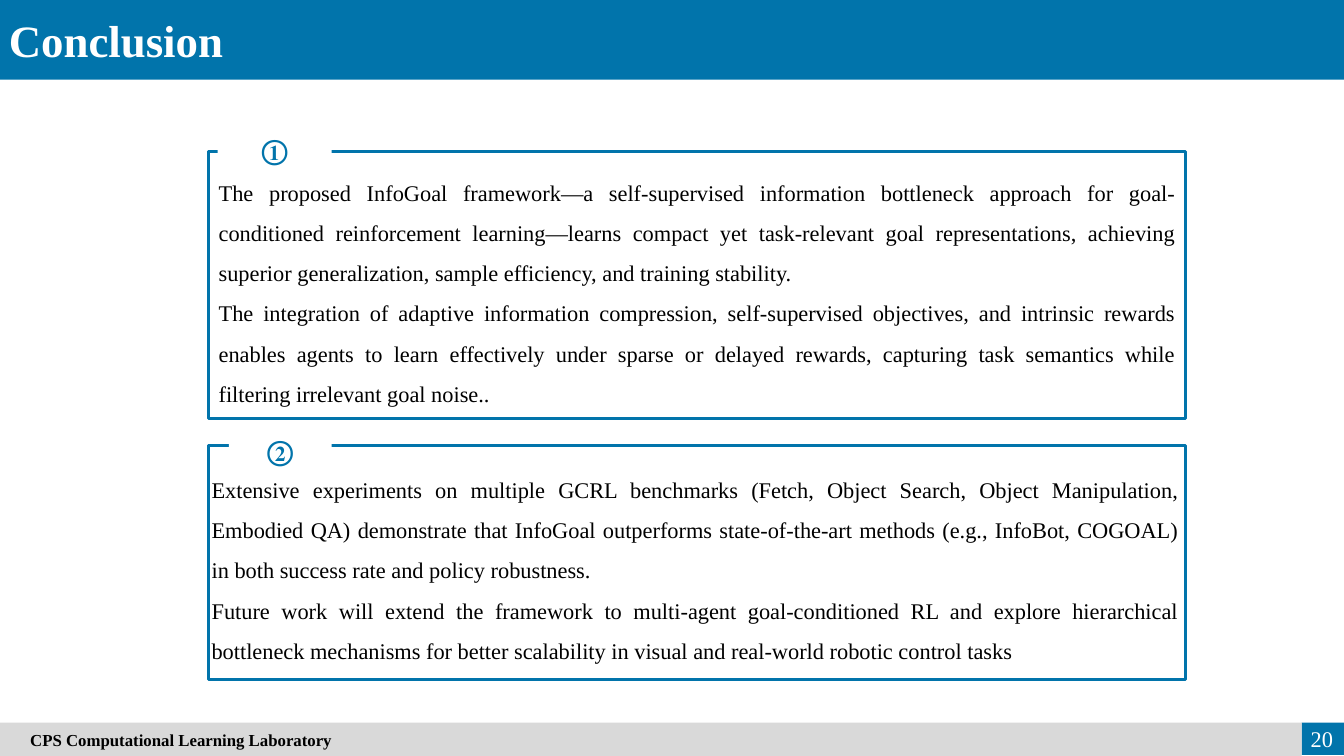
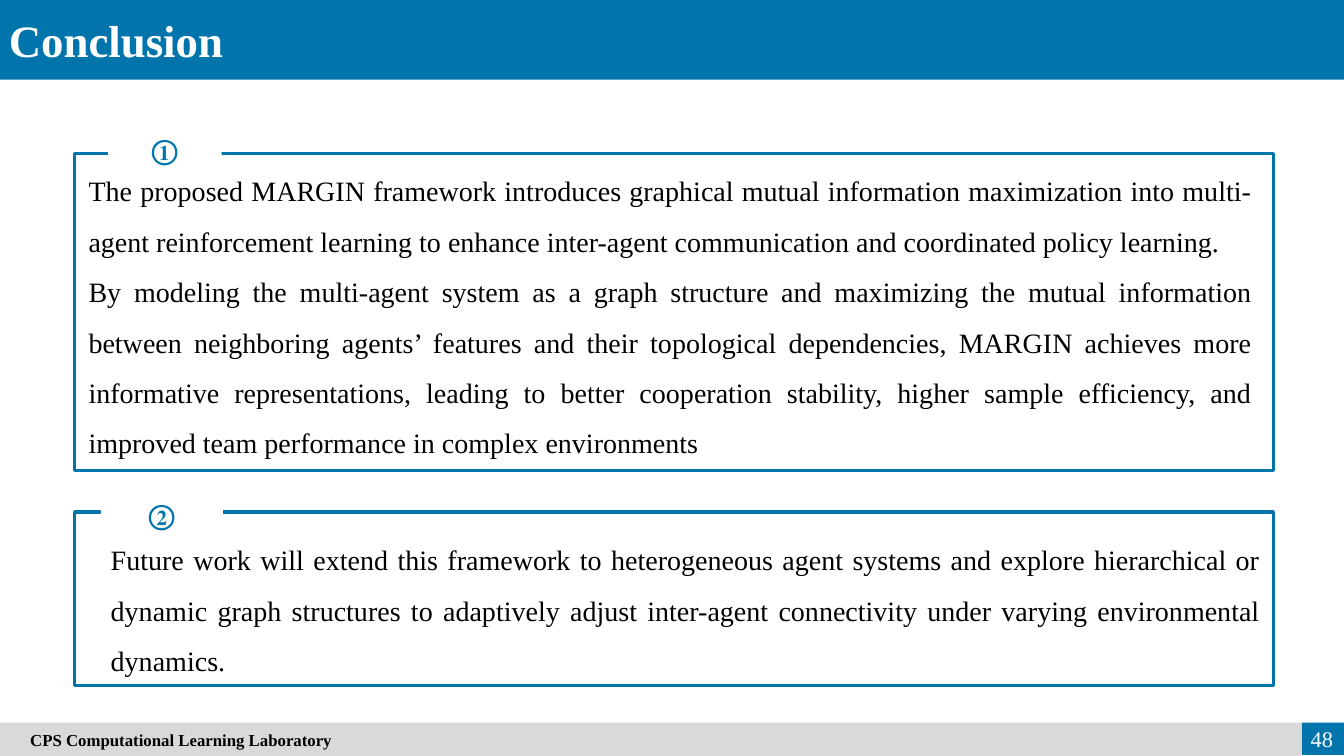
from pptx import Presentation
from pptx.dml.color import RGBColor
from pptx.enum.shapes import MSO_SHAPE
from pptx.enum.text import MSO_ANCHOR, PP_ALIGN
from pptx.util import Inches, Pt

RECTANGLE = MSO_SHAPE.RECTANGLE
TOP, MIDDLE = MSO_ANCHOR.TOP, MSO_ANCHOR.MIDDLE
LEFT, CENTER, RIGHT, JUSTIFY = PP_ALIGN.LEFT, PP_ALIGN.CENTER, PP_ALIGN.RIGHT, PP_ALIGN.JUSTIFY
FONT = "Times New Roman"
COLORS = {"blue": "0174AB", "gray": "D9D9D9", "white": "FFFFFF", "black": "000000"}
SLIDE_WIDTH, SLIDE_HEIGHT = 13.33, 7.5
FOOTER_TOP, FOOTER_WIDTH = 7.17, 12.91

CONCLUSIONS = [
    {
        "page": 20,
        "text_size": 16,
        "panels": [
            {
                "frame": (2.07, 1.5, 9.69, 2.65),
                "label": (2.16, 1.21, 1.13, 0.55),
                "text": (2.07, 1.59, 9.69, 2.4),
                "number": "①",
                "paragraphs": [
                    "The proposed InfoGoal framework—a self-supervised information bottleneck approach for goal-conditioned reinforcement learning—learns compact yet task-relevant goal representations, achieving superior generalization, sample efficiency, and training stability.",
                    "The integration of adaptive information compression, self-supervised objectives, and intrinsic rewards enables agents to learn effectively under sparse or delayed rewards, capturing task semantics while filtering irrelevant goal noise..",
                ],
            },
            {
                "frame": (2.07, 4.42, 9.69, 2.32),
                "label": (2.27, 4.19, 1.02, 0.55),
                "text": (2, 4.54, 9.79, 2.07),
                "number": "②",
                "paragraphs": [
                    "Extensive experiments on multiple GCRL benchmarks (Fetch, Object Search, Object Manipulation, Embodied QA) demonstrate that InfoGoal outperforms state-of-the-art methods (e.g., InfoBot, COGOAL) in both success rate and policy robustness.",
                    "Future work will extend the framework to multi-agent goal-conditioned RL and explore hierarchical bottleneck mechanisms for better scalability in visual and real-world robotic control tasks",
                ],
            },
        ],
    },
    {
        "page": 48,
        "text_size": 20,
        "panels": [
            {
                "frame": (0.74, 1.52, 11.89, 3.15),
                "label": (1.07, 1.21, 1.13, 0.55),
                "text": (0.78, 1.51, 11.74, 3.07),
                "number": "①",
                "paragraphs": [
                    "The proposed MARGIN framework introduces graphical mutual information maximization into multi-agent reinforcement learning to enhance inter-agent communication and coordinated policy learning.",
                    "By modeling the multi-agent system as a graph structure and maximizing the mutual information between neighboring agents’ features and their topological dependencies, MARGIN achieves more informative representations, leading to better cooperation stability, higher sample efficiency, and improved team performance in complex environments",
                ],
            },
            {
                "frame": (0.74, 5.08, 11.89, 1.72),
                "label": (1, 4.83, 1.21, 0.55),
                "text": (1, 5.17, 11.6, 1.56),
                "number": "②",
                "paragraphs": [
                    "Future work will extend this framework to heterogeneous agent systems and explore hierarchical or dynamic graph structures to adaptively adjust inter-agent connectivity under varying environmental dynamics.",
                ],
            },
        ],
    },
]


def color(name):
    return RGBColor.from_string(COLORS[name])


def add_rectangle(slide, box, fill=None, line=None):
    shape = slide.shapes.add_shape(RECTANGLE, *map(Inches, box))
    shape.shadow.inherit = False
    if fill:
        shape.fill.solid()
        shape.fill.fore_color.rgb = color(fill)
    else:
        shape.fill.background()
    if line:
        shape.line.color.rgb = color(line)
        shape.line.width = Pt(2.25)
    else:
        shape.line.fill.background()
    return shape


def write_text(shape, paragraphs, size, ink, bold=False, align=LEFT, anchor=TOP, spacing=None):
    text_frame = shape.text_frame
    text_frame.word_wrap = True
    text_frame.vertical_anchor = anchor
    text_frame.text = "\n".join(paragraphs)
    for paragraph in text_frame.paragraphs:
        paragraph.alignment = align
        paragraph.line_spacing = spacing
        for run in paragraph.runs:
            run.font.name = FONT
            run.font.size = Pt(size)
            run.font.bold = bold
            run.font.color.rgb = color(ink)


def add_text(slide, box, paragraphs, size, ink, **style):
    text_box = slide.shapes.add_textbox(*map(Inches, box))
    write_text(text_box, paragraphs, size, ink, **style)


def add_title(slide, title):
    add_rectangle(slide, (0, 0, SLIDE_WIDTH, 0.79), fill="blue")
    add_text(slide, (-0.01, 0.08, 5.37, 0.64), [title], 32, "white", bold=True, align=JUSTIFY)


def add_footer(slide, page):
    add_rectangle(slide, (FOOTER_WIDTH, FOOTER_TOP, SLIDE_WIDTH - FOOTER_WIDTH, 0.32), fill="blue")
    band = add_rectangle(slide, (0, FOOTER_TOP, FOOTER_WIDTH, SLIDE_HEIGHT - FOOTER_TOP), fill="gray")
    write_text(band, ["CPS Computational Learning Laboratory"], 12, "black", bold=True, anchor=MIDDLE)
    band.text_frame.margin_left = Inches(0.3)
    add_text(slide, (12.69, 7.13, 0.63, 0.4), [str(page)], 16, "white", align=RIGHT, anchor=MIDDLE)


def add_panel(slide, panel, text_size):
    add_rectangle(slide, panel["frame"], line="blue")
    label = add_rectangle(slide, panel["label"], fill="white")
    write_text(label, [panel["number"]], 20, "blue", bold=True, align=CENTER, anchor=MIDDLE)
    add_text(slide, panel["text"], panel["paragraphs"], text_size, "black", align=JUSTIFY, spacing=1.5)


def add_conclusion(presentation, conclusion):
    slide = presentation.slides.add_slide(presentation.slide_layouts[6])
    add_title(slide, "Conclusion")
    for panel in conclusion["panels"]:
        add_panel(slide, panel, conclusion["text_size"])
    add_footer(slide, conclusion["page"])


def main():
    presentation = Presentation()
    presentation.slide_width = Inches(SLIDE_WIDTH)
    presentation.slide_height = Inches(SLIDE_HEIGHT)
    for conclusion in CONCLUSIONS:
        add_conclusion(presentation, conclusion)
    presentation.save("out.pptx")


if __name__ == "__main__":
    main()
